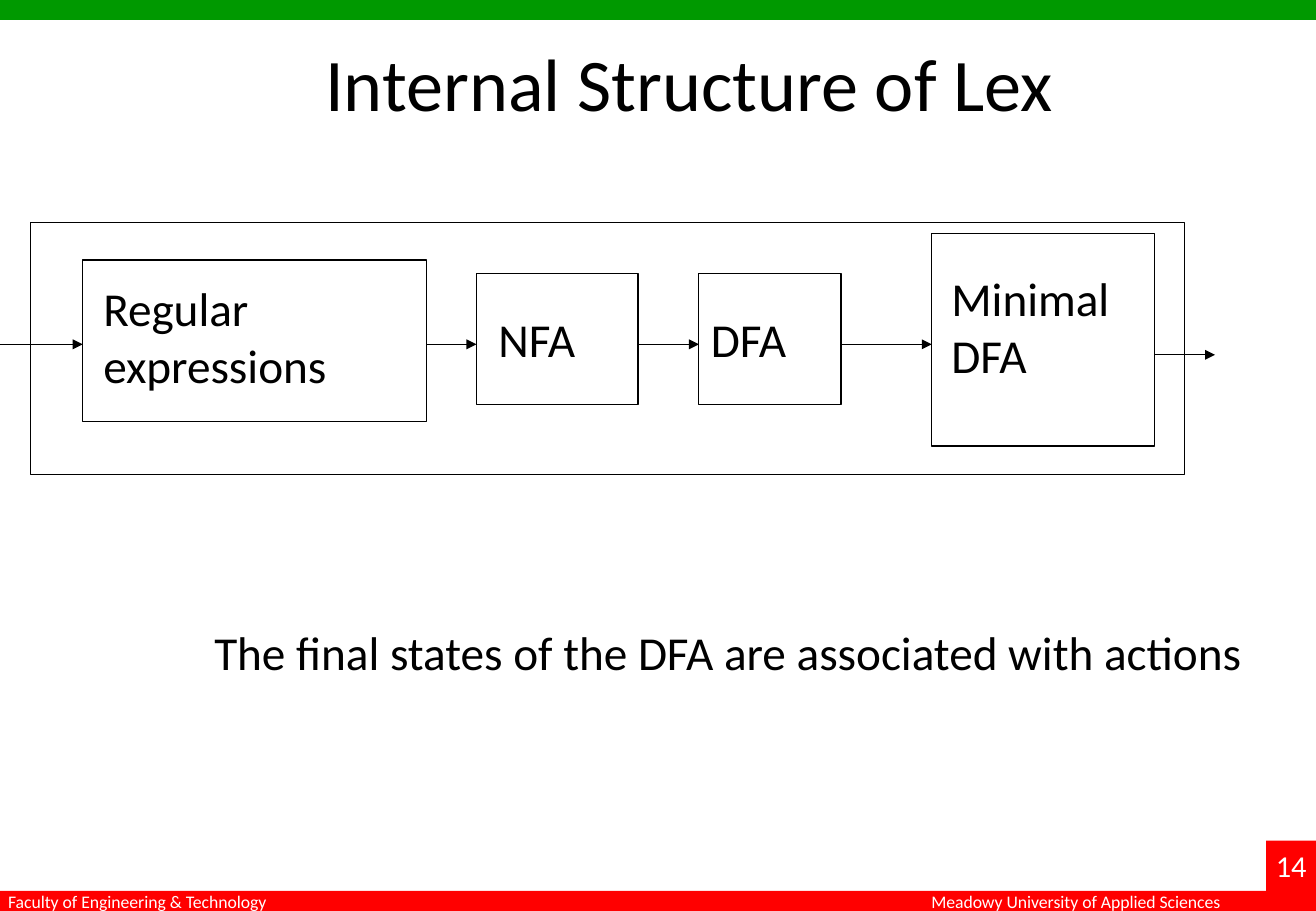
from dataclasses import dataclass
from typing import Optional

from lxml.etree import SubElement
from pptx import Presentation
from pptx.dml.color import RGBColor
from pptx.enum.shapes import MSO_CONNECTOR as CONN, MSO_SHAPE as SHAPE
from pptx.enum.text import MSO_ANCHOR as ANCHOR, MSO_AUTO_SIZE as FIT, PP_ALIGN as ALIGN
from pptx.oxml.ns import qn
from pptx.util import Cm, Pt

COLORS = {"green": "009900", "red": "FF0000", "black": "000000", "white": "FFFFFF"}
FONT = "Calibri"
WIDTH, HEIGHT, BAR = 27.51, 19.05, 0.42
LINE = Pt(0.75)


@dataclass
class Text:
    lines: str
    size: float
    color: str = "black"
    left: float = 0.25  # insets in cm
    top: float = 0.13


@dataclass
class Box:
    x: float
    y: float
    w: float
    h: float
    fill: Optional[str] = None
    text: Optional[Text] = None

    @property
    def right(self) -> float:
        return self.x + self.w

    def place(self) -> tuple:
        return Cm(self.x), Cm(self.y), Cm(self.w), Cm(self.h)


def rgb(name: str) -> RGBColor:
    return RGBColor.from_string(COLORS[name])


def write(shape, text: Text) -> None:
    tf = shape.text_frame
    frame_format = {
        "word_wrap": False, "auto_size": FIT.NONE, "vertical_anchor": ANCHOR.TOP,
        "margin_left": Cm(text.left), "margin_top": Cm(text.top),
        "margin_right": 0, "margin_bottom": 0,
    }
    for name, value in frame_format.items():
        setattr(tf, name, value)
    tf.text = text.lines
    for p in tf.paragraphs:
        p.alignment = ALIGN.LEFT
        for r in p.runs:
            for name, value in {"name": FONT, "size": Pt(text.size)}.items():
                setattr(r.font, name, value)
            r.font.color.rgb = rgb(text.color)


def draw_box(s, box: Box) -> None:
    sp = s.shapes.add_shape(SHAPE.RECTANGLE, *box.place())
    sp.shadow.inherit = False
    if box.fill:
        sp.fill.solid()
        sp.fill.fore_color.rgb = rgb(box.fill)
        sp.line.fill.background()
    else:
        sp.fill.background()
        sp.line.color.rgb = rgb("black")
        sp.line.width = LINE
    if box.text:
        write(sp, box.text)


def draw_label(s, box: Box) -> None:
    write(s.shapes.add_textbox(*box.place()), box.text)


def draw_arrow(s, x1: float, x2: float, y: float) -> None:
    arrow = s.shapes.add_connector(CONN.STRAIGHT, Cm(x1), Cm(y), Cm(x2), Cm(y))
    arrow.line.color.rgb = rgb("black")
    arrow.line.width = LINE
    SubElement(arrow.line._get_or_add_ln(), qn("a:tailEnd"), type="triangle")
    SubElement(arrow._element.spPr, qn("a:effectLst"))


prs = Presentation()
prs.slide_width, prs.slide_height = Cm(WIDTH), Cm(HEIGHT)
s = prs.slides.add_slide(prs.slide_layouts[5])

# Title
title = s.shapes.title
title.left, title.top, title.width, title.height = Box(6.55, 0.64, 15.9, 2.13).place()
write(title, Text("Internal Structure of Lex", 44))

# Header bar, footer bar and page number
for bar in (
    Box(0, 0, WIDTH, BAR, "green"),
    Box(0, HEIGHT - BAR, WIDTH, BAR, "red"),
    Box(26.47, 17.58, 1.04, 1.47, "red", Text("14", 18, "white", left=0.2)),
):
    draw_box(s, bar)

# Footer texts
for x, w, words in (
    (0, 6, "Faculty of Engineering & Technology"),
    (19.3, 6.65, "Meadowy University of Applied Sciences"),
):
    draw_label(s, Box(x, 18.49, w, 0.56, text=Text(words, 10.5, "white", left=0.17)))

# Lex frame and its stages
stages = [
    Box(1.73, 5.44, 7.19, 3.38, text=Text("Regular\nexpressions", 28, left=0.43, top=0.41)),
    Box(9.96, 5.72, 3.38, 2.74, text=Text("NFA", 28, left=0.46, top=0.76)),
    Box(14.61, 5.72, 2.97, 2.74, text=Text("DFA", 28, top=0.76)),
    Box(19.48, 4.88, 4.65, 4.45, text=Text("Minimal\nDFA", 28, left=0.41, top=0.76)),
]
for box in [Box(0.64, 4.65, 24.13, 5.28), *stages]:
    draw_box(s, box)

# Arrows into, between and out of the stages
draw_arrow(s, 0, stages[0].x, 7.2)
for source, target in zip(stages, stages[1:]):
    draw_arrow(s, source.right, target.x, 7.2)
draw_arrow(s, stages[-1].right, 25.4, 7.42)

# Closing remark
remark = Text("The final states of the DFA are associated with actions", 28)
draw_label(s, Box(4.23, 12.9, 22.23, 1.45, text=remark))

prs.save("out.pptx")
